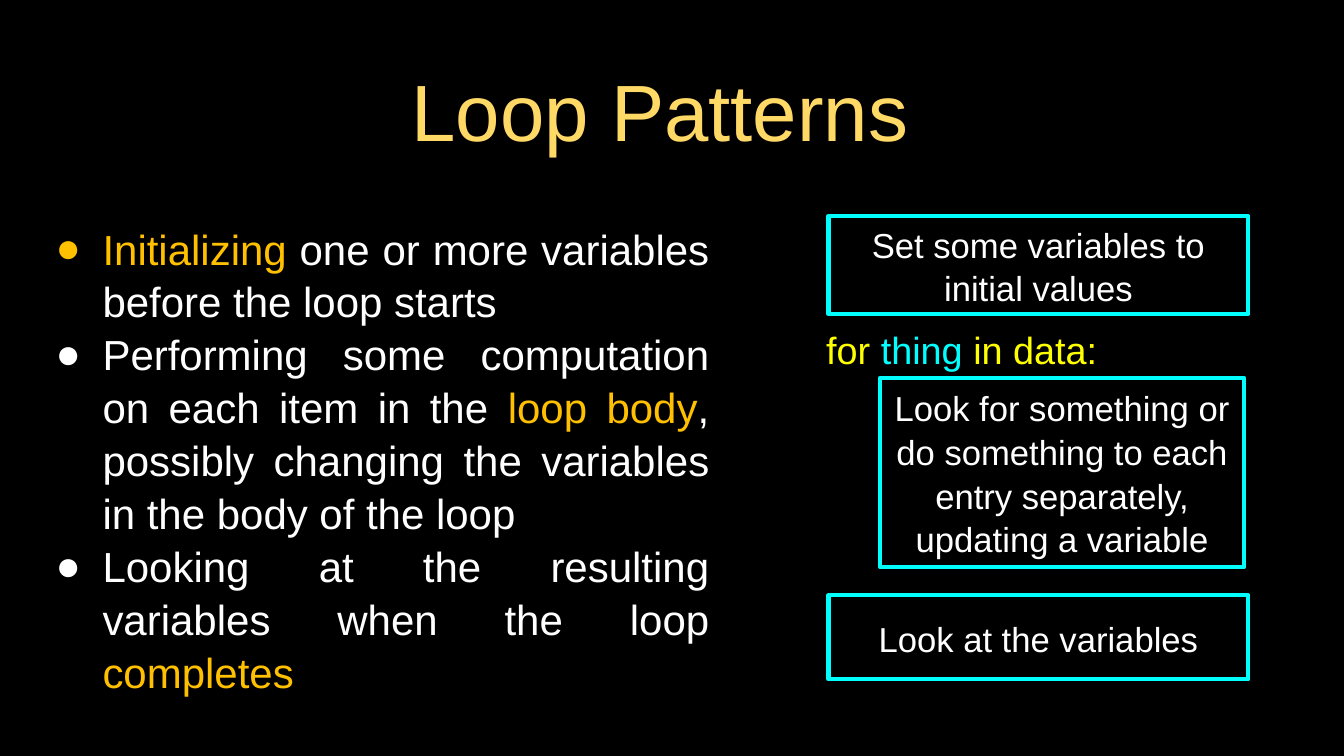
from pptx import Presentation
from pptx.dml.color import RGBColor
from pptx.enum.shapes import MSO_SHAPE as Shape
from pptx.enum.text import MSO_ANCHOR as Anchor, PP_ALIGN as Align
from pptx.oxml.ns import qn
from pptx.util import Pt
from lxml.etree import SubElement

BLACK, WHITE, CYAN, YELLOW = "000000", "FFFFFF", "00FFFF", "FFFF00"
GOLD, AMBER = "FFD966", "FFC000"


def color(value):
    return RGBColor.from_string(value)


def assign(target, values):
    for name, value in values.items():
        setattr(target, name, value)


class SlideBuilder:
    font = "Arial"
    line_spacing = 1.05
    border = 4
    bullet_indent = 44.6

    def __init__(self, slide):
        self.slide = slide
        slide.background.fill.solid()
        slide.background.fill.fore_color.rgb = color(BLACK)

    def fill_text(self, shape, paragraphs, size, align=Align.CENTER, anchor=Anchor.MIDDLE,
                  inset=(0, 0), bullet=None):
        """Each paragraph is a list of (text, colour) runs."""
        frame = shape.text_frame
        across, down = map(Pt, inset)
        assign(frame, dict(word_wrap=True, vertical_anchor=anchor, margin_left=across,
                           margin_right=across, margin_top=down, margin_bottom=down))
        for index, runs in enumerate(paragraphs):
            paragraph = frame.add_paragraph() if index else frame.paragraphs[0]
            assign(paragraph, dict(alignment=align, line_spacing=self.line_spacing))
            if bullet:
                self.add_bullet(paragraph, bullet)
            for text, run_color in runs:
                run = paragraph.add_run()
                run.text = text
                assign(run.font, dict(name=self.font, size=Pt(size)))
                run.font.color.rgb = color(run_color)

    def add_bullet(self, paragraph, character):
        properties = paragraph._p.get_or_add_pPr()
        indent = Pt(self.bullet_indent)
        properties.set("marL", str(indent))
        properties.set("indent", str(-indent))
        SubElement(properties, qn("a:buFont"), typeface=self.font)
        SubElement(properties, qn("a:buChar"), char=character)

    def text(self, bounds, paragraphs, size, **style):
        shape = self.slide.shapes.add_textbox(*map(Pt, bounds))
        self.fill_text(shape, paragraphs, size, **style)

    def step(self, bounds, label, size=33):
        shape = self.slide.shapes.add_shape(Shape.RECTANGLE, *map(Pt, bounds))
        shape.shadow.inherit = False
        shape.fill.background()
        shape.line.color.rgb = color(CYAN)
        shape.line.width = Pt(self.border)
        self.fill_text(shape, [[(label, WHITE)]], size)


presentation = Presentation()
assign(presentation, dict(slide_width=Pt(1280), slide_height=Pt(720)))
builder = SlideBuilder(presentation.slides.add_slide(presentation.slide_layouts[6]))

# Title
builder.text((80, 40, 1097, 125), [[("Loop Patterns", GOLD)]], 76, inset=(3, 3))

# Explanation
builder.text((46, 206.5, 636.5, 443.5), [
    [("Initializing", AMBER), (" one or more variables before the loop starts", WHITE)],
    [("Performing some computation on each item in the ", WHITE), ("loop body", AMBER),
     (", possibly changing the variables in the body of the loop", WHITE)],
    [("Looking at the resulting variables when the loop ", WHITE), ("completes", AMBER)],
], 40, align=Align.JUSTIFY, anchor=Anchor.TOP, inset=(7.2, 3.6), bullet="●")

# Loop outline
for bounds, label in [
    ((789, 206, 400, 93), "Set some variables to initial values"),
    ((838, 360, 347, 180),
     "Look for something or do something to each entry separately, updating a variable"),
    ((789, 567, 400, 80), "Look at the variables"),
]:
    builder.step(bounds, label)
builder.text((782, 307.5, 268, 49),
             [[("for ", YELLOW), ("thing", CYAN), (" in data:", YELLOW)]], 36)

presentation.save("out.pptx")
